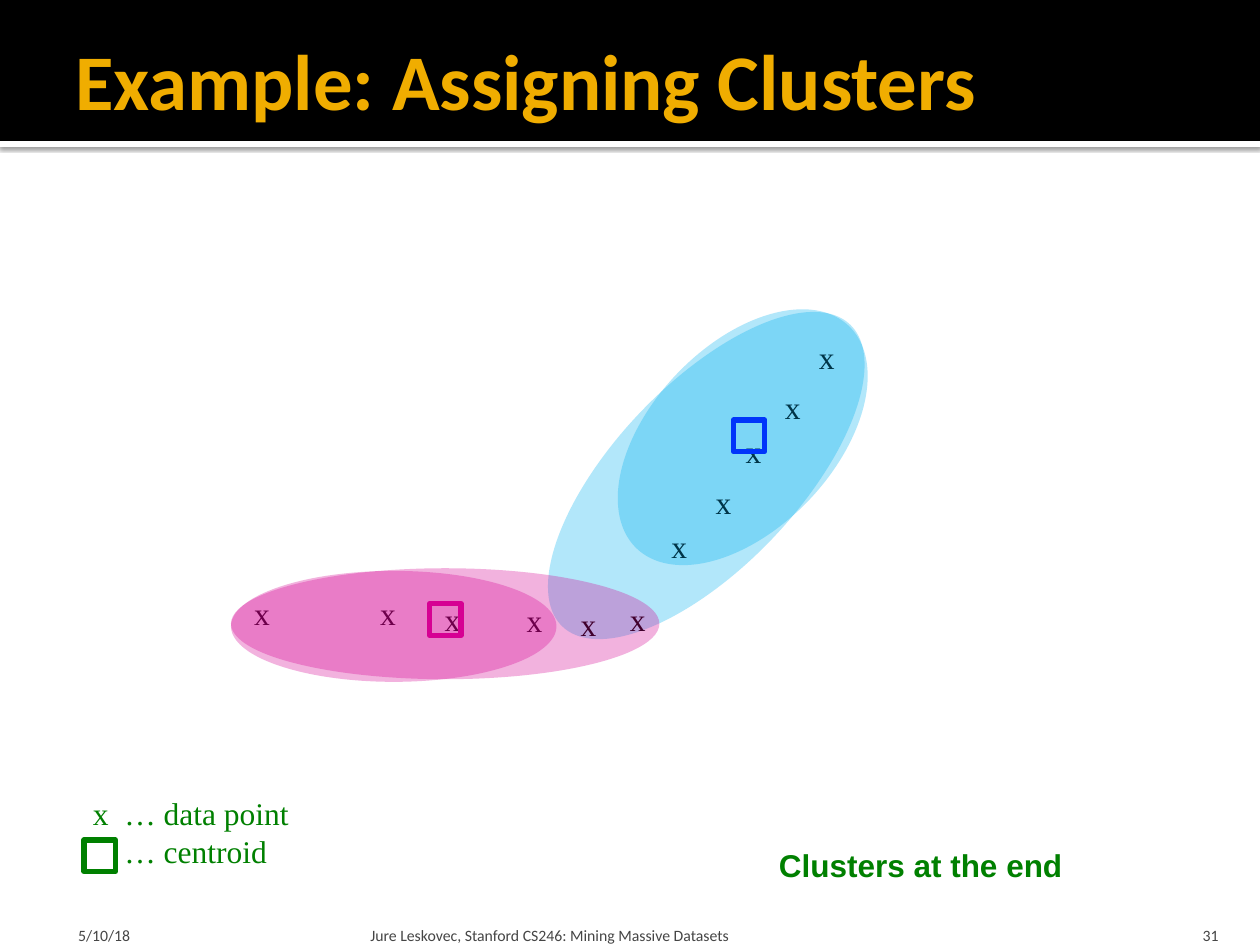
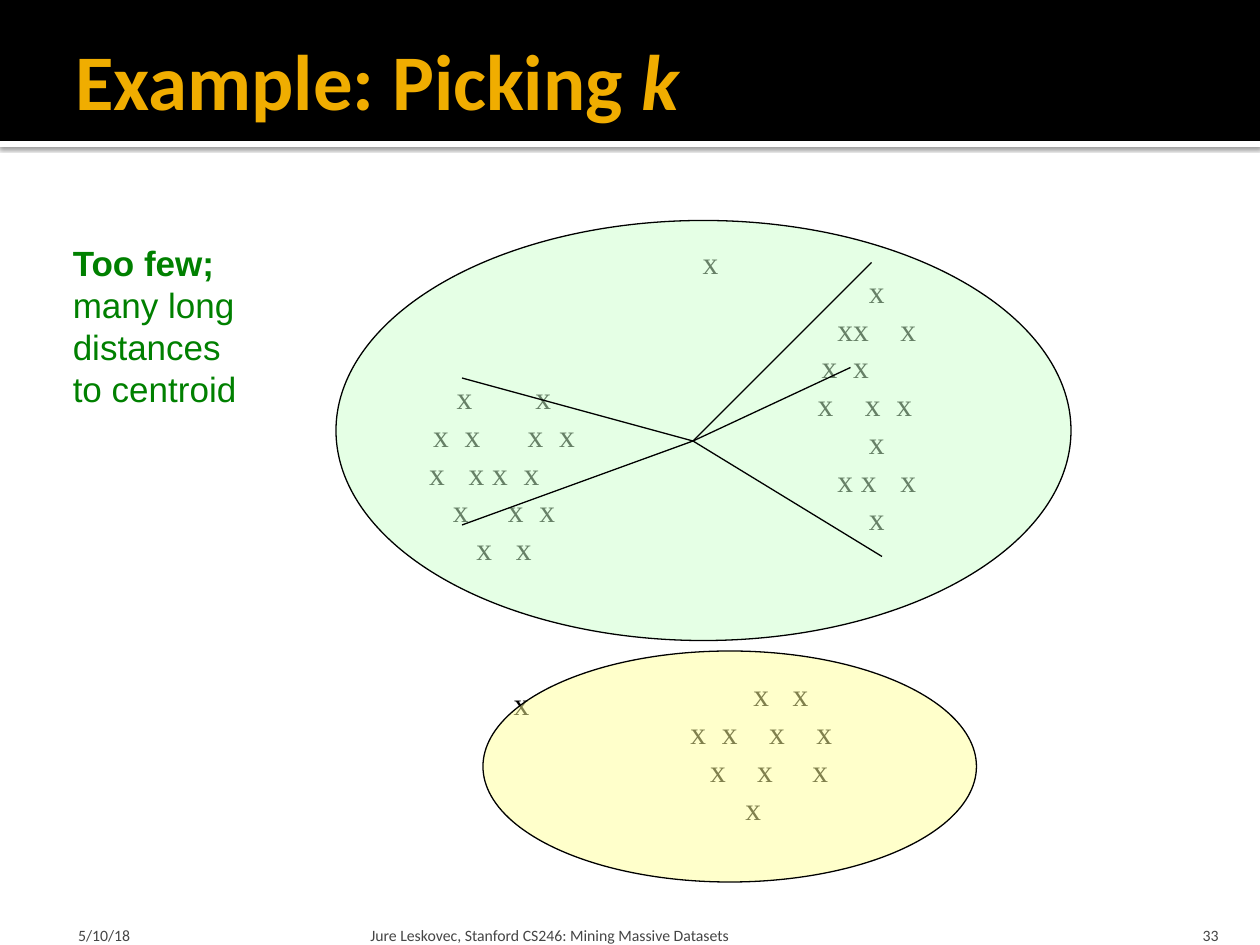
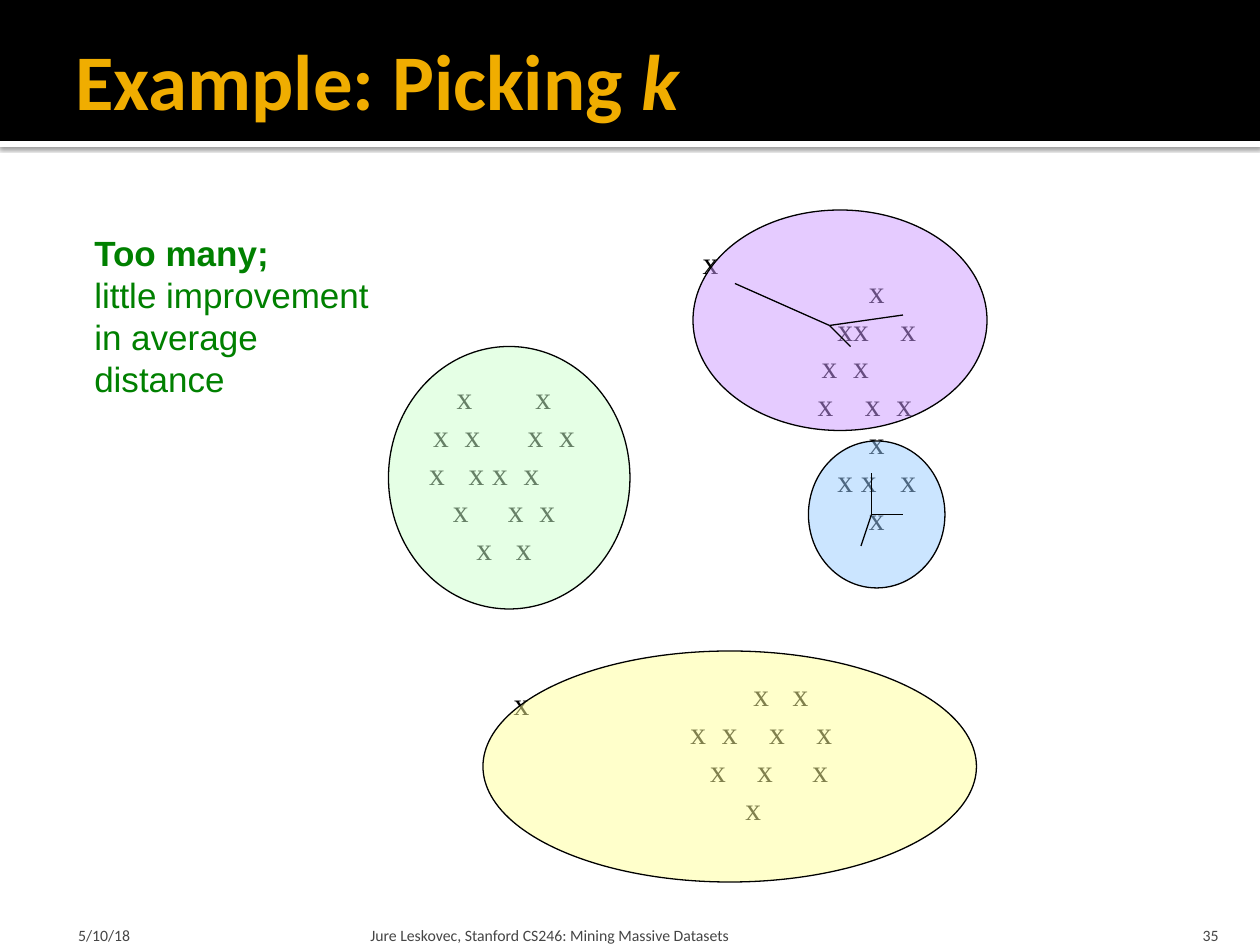
from dataclasses import dataclass
from lxml import etree
from pptx import Presentation
from pptx.dml.color import RGBColor
from pptx.enum.shapes import MSO_CONNECTOR, MSO_SHAPE
from pptx.enum.text import MSO_ANCHOR, PP_ALIGN
from pptx.oxml.ns import qn
from pptx.util import Pt

RECTANGLE, OVAL = MSO_SHAPE.RECTANGLE, MSO_SHAPE.OVAL
STRAIGHT = MSO_CONNECTOR.STRAIGHT
TOP, MIDDLE, BOTTOM = MSO_ANCHOR.TOP, MSO_ANCHOR.MIDDLE, MSO_ANCHOR.BOTTOM
LEFT, RIGHT = PP_ALIGN.LEFT, PP_ALIGN.RIGHT


@dataclass(frozen=True)
class TextStyle:
    font: str
    size: float
    color: str
    bold: bool = False
    leading: float = 0


@dataclass(frozen=True)
class Theme:
    black: str = "000000"
    white: str = "FFFFFF"
    green: str = "008000"
    blue: str = "0000FF"
    magenta: str = "D60093"
    sky: str = "00B0F0"
    pale_green: str = "CCFFCC"
    pale_yellow: str = "FFFF99"
    pale_violet: str = "CC99FF"
    pale_blue: str = "99CCFF"
    title: TextStyle = TextStyle("Calibri", 45, "F0AD00", True)
    footer: TextStyle = TextStyle("Calibri", 9, "454545")
    point: TextStyle = TextStyle("Times New Roman", 18, "000000", leading=21.6)
    legend: TextStyle = TextStyle("Times New Roman", 18, "008000", leading=21.6)
    caption: TextStyle = TextStyle("Arial", 18, "008000", True, 21.6)
    verdict: TextStyle = TextStyle("Arial", 20, "008000", leading=24)


THEME = Theme()
COLUMN = 2.25
MARK_COLUMNS = 4
DEFAULT_INSETS = (7.2, 3.6, 7.2, 3.6)

CLOUDS = [
    ((216, 180, 144, 180),
     [(-12, 8), (-18, -10, 6, 14), (-19, -9, -3, 5), (-13, 1, 9), (-7, 3)]),
    ((432, 120, 138, 222),
     [(-2,), (-10, -6, 6), (-14, -6), (-15, -3, 5), (-2,), (-10, -4, 6), (-2,)]),
    ((360, 366, 150, 126),
     [(-2, 8), (-18, -10, 2, 14), (-13, -1, 13), (-4,)]),
]
OUTLIERS = [(394.5, 135.5), (286.5, 387.5)]
YELLOW_CLUSTER = (276, 372, 282, 132)


def rgb(color):
    return RGBColor.from_string(color)


def points(values):
    return [Pt(value) for value in values]


def style_run(run, style):
    run.font.name = style.font
    run.font.size = Pt(style.size)
    run.font.bold = style.bold
    run.font.color.rgb = rgb(style.color)


def add_tabs(paragraph, stops):
    tab_list = etree.SubElement(paragraph._p.get_or_add_pPr(), qn("a:tabLst"))
    for stop in stops:
        etree.SubElement(tab_list, qn("a:tab"), pos=str(Pt(stop)), algn="l")


def add_text(slide, box, lines, style, anchor=TOP, align=LEFT,
             insets=DEFAULT_INSETS, wrap=False, tabs=()):
    frame = slide.shapes.add_textbox(*points(box)).text_frame
    frame.word_wrap = wrap
    frame.vertical_anchor = anchor
    (frame.margin_left, frame.margin_top,
     frame.margin_right, frame.margin_bottom) = points(insets)
    frame.text = "\n".join(lines)
    for index, paragraph in enumerate(frame.paragraphs):
        if index < len(tabs):
            add_tabs(paragraph, tabs[index])
        paragraph.alignment = align
        if style.leading:
            paragraph.line_spacing = Pt(style.leading)
        for run in paragraph.runs:
            style_run(run, style)
    return frame


def add_figure(slide, kind, box, fill=None, opacity=100, line=None, width=0.75, turn=0):
    figure = slide.shapes.add_shape(kind, *points(box))
    figure.shadow.inherit = False
    figure.rotation = turn
    if fill:
        figure.fill.solid()
        figure.fill.fore_color.rgb = rgb(fill)
        if opacity < 100:
            color = figure.fill._xPr.find(qn("a:solidFill"))[0]
            etree.SubElement(color, qn("a:alpha"), val=str(opacity * 1000))
    else:
        figure.fill.background()
    if line:
        figure.line.color.rgb = rgb(line)
        figure.line.width = Pt(width)
    else:
        figure.line.fill.background()
    return figure


def add_band_shadow(band):
    effects = band._element.spPr.find(qn("a:effectLst"))
    shadow = etree.SubElement(effects, qn("a:outerShdw"), blurRad=str(Pt(2.5)),
                              dist=str(Pt(0.8)), dir="5400000", rotWithShape="0")
    color = etree.SubElement(shadow, qn("a:srgbClr"), val=THEME.black)
    etree.SubElement(color, qn("a:alpha"), val="60000")


def add_base(prs, title, number, emphasis=""):
    slide = prs.slides.add_slide(prs.slide_layouts[6])
    add_band_shadow(add_figure(slide, RECTANGLE, (0, 80.5, 720, 3.5), THEME.white))
    add_figure(slide, RECTANGLE, (0, 0, 720, 80.5), THEME.black)
    heading = add_text(slide, (36, 12.2, 648, 66.2), [title], THEME.title, MIDDLE,
                       insets=(7.2, 3.6, 3.6, 3.6), wrap=True)
    if emphasis:
        run = heading.paragraphs[0].add_run()
        run.text = emphasis
        style_run(run, THEME.title)
        run.font.italic = True
    footers = [
        (36, 168, "5/10/18", LEFT, 8.64, 3.6),
        (208, 433.5, "Jure Leskovec, Stanford CS246: Mining Massive Datasets", LEFT, 3.6, 3.6),
        (646, 57.5, number, RIGHT, 7.2, 7.2),
    ]
    for left, width, text, align, inset_left, inset_right in footers:
        add_text(slide, (left, 518.4, width, 21.6), [text], THEME.footer, BOTTOM, align,
                 (inset_left, 3.6, inset_right, 0), True)
    return slide


def add_data_point(slide, left, top):
    add_text(slide, (left, top, 23.8, 28.8), ["x"], THEME.point)


def add_centroid(slide, left, top, color):
    add_figure(slide, RECTANGLE, (left, top, 18, 18), line=color, width=3)


def add_cloud(slide, box, rows):
    lines, tabs = [], []
    for columns in rows:
        line, stops, previous = "", [], None
        for column in columns:
            touching = previous is not None and column - previous == MARK_COLUMNS
            if not touching:
                line += "\t"
                stops.append(box[2] / 2 + column * COLUMN)
            line += "x"
            previous = column
        lines.append(line)
        tabs.append(stops)
    add_text(slide, box, lines, THEME.point, MIDDLE, insets=(0, 0, 0, 0), wrap=True, tabs=tabs)


def add_cluster(slide, box, color):
    add_figure(slide, OVAL, box, color, 50, THEME.black)


def add_distances(slide, centroid, ends):
    for end in ends:
        distance = slide.shapes.add_connector(STRAIGHT, *points(centroid + end))
        distance.line.color.rgb = rgb(THEME.black)
        distance.line.width = Pt(0.75)
        etree.SubElement(distance._element.spPr, qn("a:effectLst"))


def add_verdict(slide, box, lines):
    frame = add_text(slide, box, lines, THEME.verdict)
    frame.paragraphs[0].runs[0].font.bold = True


def add_picking_base(prs, number):
    slide = add_base(prs, "Example: Picking ", number, "k")
    for box, rows in CLOUDS:
        add_cloud(slide, box, rows)
    for left, top in OUTLIERS:
        add_data_point(slide, left, top)
    add_cluster(slide, YELLOW_CLUSTER, THEME.pale_yellow)
    return slide


def build_assigning(prs):
    slide = add_base(prs, "Example: Assigning Clusters", "31")
    add_figure(slide, OVAL, (351.4, 152.6, 104.4, 238.3), THEME.sky, 30, turn=43.6)
    for left, top in [(293.8, 339.8), (460.8, 189.4), (247, 339.1), (419, 243.4),
                      (210.2, 336.2), (376.6, 297.4), (138.2, 336.2), (352.8, 339.1),
                      (401.8, 272.2), (441.4, 218.2), (324.7, 342)]:
        add_data_point(slide, left, top)
    add_text(slide, (46, 450, 127.5, 51), ["x\t… data point", "\t… centroid"],
             THEME.legend, tabs=[[18], [18]])
    add_centroid(slide, 48, 480, THEME.green)
    add_centroid(slide, 419, 240, THEME.blue)
    add_centroid(slide, 245.5, 345, THEME.magenta)
    add_figure(slide, OVAL, (132, 326.2, 186, 63.4), THEME.magenta, 30)
    add_figure(slide, OVAL, (132, 324.7, 244.8, 63.4), THEME.magenta, 30)
    add_figure(slide, OVAL, (372.2, 162, 104.4, 175.7), THEME.sky, 30, turn=43.6)
    add_text(slide, (438, 480, 178, 28.8), ["Clusters at the end"], THEME.caption)


def build_too_few(prs):
    slide = add_picking_base(prs, "33")
    add_cluster(slide, (192, 126, 420, 240), THEME.pale_green)
    add_distances(slide, (396, 252),
                  [(264, 216), (264, 300), (504, 318), (486, 210), (498, 150)])
    add_verdict(slide, (34.5, 134.6, 108.7, 104.4),
                ["Too few;", "many long", "distances", "to centroid"])


def build_too_many(prs):
    slide = add_picking_base(prs, "35")
    add_cluster(slide, (222, 198, 138, 150), THEME.pale_green)
    add_cluster(slide, (396, 120, 168, 126), THEME.pale_violet)
    add_cluster(slide, (462, 252, 78, 84), THEME.pale_blue)
    add_distances(slide, (474, 186), [(420, 162), (516, 180), (486, 198)])
    add_distances(slide, (498, 294), [(498, 270), (516, 294), (492, 312)])
    add_verdict(slide, (46.8, 128.9, 172.8, 104.4),
                ["Too many;", "little improvement", "in average", "distance"])


def main():
    prs = Presentation()
    prs.slide_width, prs.slide_height = Pt(720), Pt(540)
    build_assigning(prs)
    build_too_few(prs)
    build_too_many(prs)
    prs.save("out.pptx")


if __name__ == "__main__":
    main()
